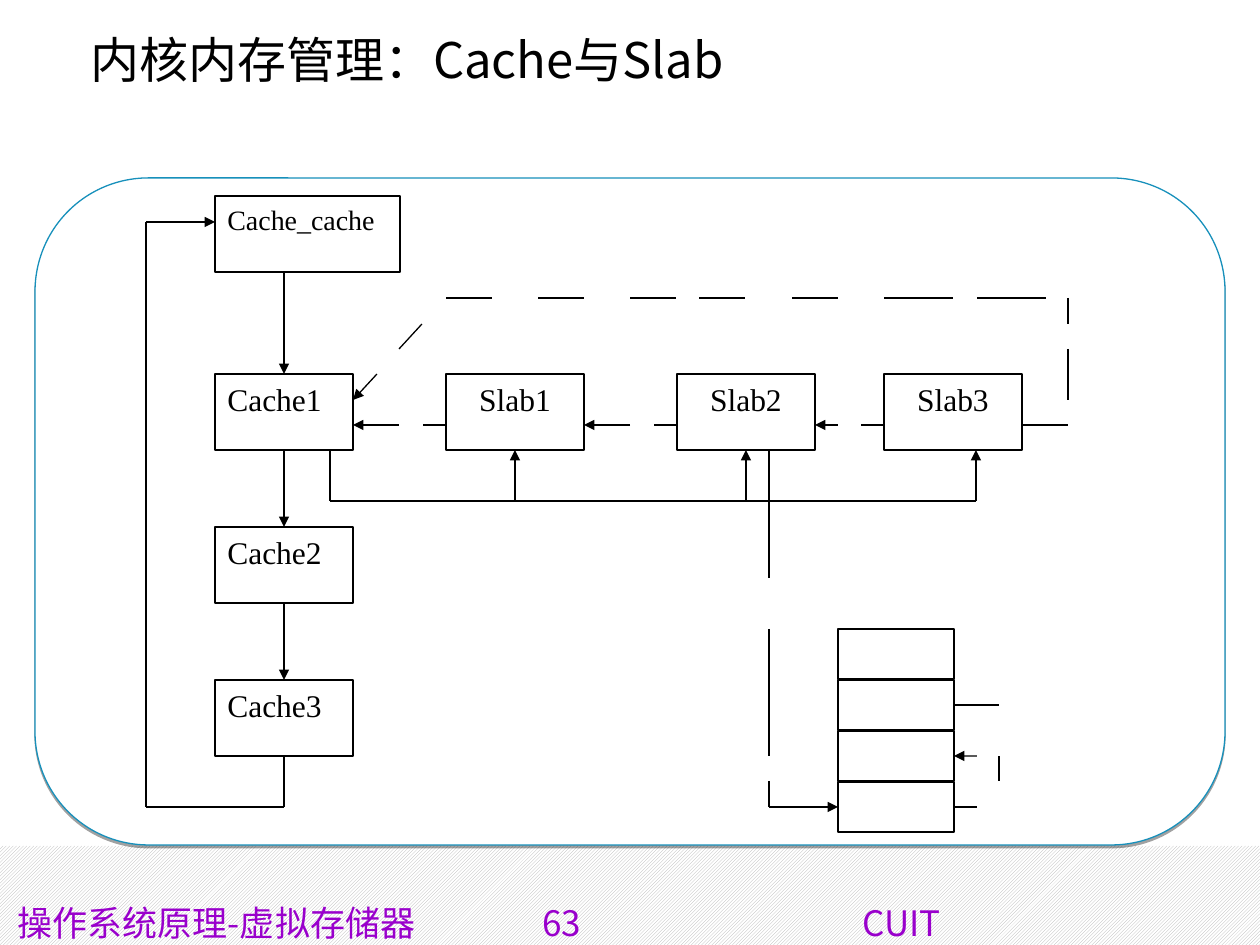
"""Builds the slide on kernel memory management with caches and slabs."""
from lxml.etree import SubElement
from pptx import Presentation
from pptx.dml.color import RGBColor
from pptx.enum.dml import MSO_PATTERN
from pptx.enum.shapes import MSO_CONNECTOR, MSO_SHAPE
from pptx.enum.text import MSO_ANCHOR, MSO_AUTO_SIZE, PP_ALIGN
from pptx.oxml.ns import qn
from pptx.util import Emu, Pt

PIXEL = 914400 / 126
SANS, SERIF = "Noto Sans CJK SC", "Times New Roman"


def color(value):
    return RGBColor.from_string(value)


def add_run(paragraph, text, size, font_name, value):
    run = paragraph.add_run()
    run.text = text
    run.font.size = Pt(size)
    run.font.name = font_name
    run.font.color.rgb = color(value)
    SubElement(run.font._element, qn("a:ea")).set("typeface", font_name)


presentation = Presentation()
presentation.slide_width = Emu(round(1260 * PIXEL))
presentation.slide_height = Emu(round(945 * PIXEL))
slide = presentation.slides.add_slide(presentation.slide_layouts[5])
shapes = slide.shapes

band = shapes.add_shape(MSO_SHAPE.RECTANGLE, *[Emu(round(n * PIXEL)) for n in (0, 846, 1260, 99)])
band.shadow.inherit = False
band.fill.patterned()
band.fill.pattern = MSO_PATTERN.DARK_UPWARD_DIAGONAL
band.fill.fore_color.rgb = color("B2B2B2")
band.fill.back_color.rgb = color("FFFFFF")
band.line.fill.background()

panel = shapes.add_shape(
    MSO_SHAPE.ROUNDED_RECTANGLE, *[Emu(round(n * PIXEL)) for n in (35, 178, 1190, 667)]
)
panel.adjustments[0] = 0.17
panel.fill.solid()
panel.fill.fore_color.rgb = color("FFFFFF")
panel.line.color.rgb = color("1790BB")
panel.line.width = Pt(0.75)
panel.shadow.inherit = False
effects = panel._element.spPr.find(qn("a:effectLst"))
shadow = SubElement(
    effects, qn("a:outerShdw"), dist=str(Pt(1.6)), dir="5400000", algn="ctr", rotWithShape="0"
)
shadow_color = SubElement(shadow, qn("a:srgbClr"), val="000000")
SubElement(shadow_color, qn("a:alpha"), val="37000")

footer = shapes.add_textbox(*[Emu(round(n * PIXEL)) for n in (5, 895, 1255, 50)])
footer.text_frame.word_wrap = True
footer_paragraph = footer.text_frame.paragraphs[0]
tab_list = SubElement(footer_paragraph._p.get_or_add_pPr(), qn("a:tabLst"))
for position in (525, 845):
    SubElement(tab_list, qn("a:tab"), pos=str(round(position * PIXEL)), algn="l")
for text in ("操作系统原理-虚拟存储器", "\t63", "\tCUIT"):
    add_run(footer_paragraph, text, 20, SANS, "9900CC")

title = shapes.title
title.left, title.top, title.width, title.height = [
    Emu(round(n * PIXEL)) for n in (78, 35, 1160, 80)
]
title.text_frame.vertical_anchor = MSO_ANCHOR.TOP
title.text_frame.auto_size = MSO_AUTO_SIZE.NONE
title_paragraph = title.text_frame.paragraphs[0]
title_paragraph.alignment = PP_ALIGN.LEFT
title_paragraph.line_spacing = 0.8
add_run(title_paragraph, "内核内存管理：Cache与Slab", 28, SANS, "000000")

boxes = [("Cache_cache", 215, 196, 185, 76, 16, PP_ALIGN.JUSTIFY)]
for index in range(3):
    boxes.append((f"Cache{index + 1}", 215, 374 + 153 * index, 138, 76, 18, PP_ALIGN.JUSTIFY))
for index, left in enumerate((446, 677, 884)):
    boxes.append((f"Slab{index + 1}", left, 374, 138, 76, 18, PP_ALIGN.CENTER))
for index in range(4):
    boxes.append(("", 838, 629 + 51 * index, 116, 50, 18, PP_ALIGN.CENTER))

side_middles = {}
for text, left, top, width, height, size, alignment in boxes:
    box = shapes.add_shape(
        MSO_SHAPE.RECTANGLE, *[Emu(round(n * PIXEL)) for n in (left, top, width, height)]
    )
    box.shadow.inherit = False
    box.fill.solid()
    box.fill.fore_color.rgb = color("FFFFFF")
    box.line.color.rgb = color("000000")
    box.line.width = Pt(0.75)
    center, middle = left + width // 2, top + height // 2
    side_middles[center, top] = (box, 0)
    side_middles[left, middle] = (box, 1)
    side_middles[center, top + height] = (box, 2)
    side_middles[left + width, middle] = (box, 3)
    if text:
        box.text_frame.vertical_anchor = MSO_ANCHOR.TOP
        paragraph = box.text_frame.paragraphs[0]
        paragraph.alignment = alignment
        add_run(paragraph, text, size, SERIF, "000000")

arrows = [
    (284, 272, 284, 374), (284, 450, 284, 527), (284, 603, 284, 680),
    (146, 222, 215, 222),
    (399, 425, 353, 425), (630, 425, 584, 425), (838, 425, 815, 425),
    (377, 374, 353, 400),
    (769, 807, 838, 807), (977, 756, 954, 756),
]
arrows += [(x, 501, x, 450) for x in (515, 746, 976)]
plain_lines = [
    (146, 222, 146, 807), (146, 807, 284, 807), (284, 756, 284, 807),
    (330, 450, 330, 501), (330, 501, 976, 501),
    (1022, 425, 1068, 425), (1068, 349, 1068, 400), (1068, 298, 1068, 324),
    (422, 324, 399, 349),
    (769, 450, 769, 578), (769, 629, 769, 756), (769, 781, 769, 807),
    (954, 807, 977, 807), (999, 781, 999, 756), (954, 705, 999, 705),
]
plain_lines += [(x, 425, x - 23, 425) for x in (446, 677, 884)]
plain_lines += [(x, 298, x - 46, 298) for x in (492, 584, 676, 745, 838)]
plain_lines += [(x, 298, x - 69, 298) for x in (953, 1046)]

for points, has_arrow in [(p, True) for p in arrows] + [(p, False) for p in plain_lines]:
    connector = shapes.add_connector(
        MSO_CONNECTOR.STRAIGHT, *[Emu(round(n * PIXEL)) for n in points]
    )
    if points[:2] in side_middles:
        connector.begin_connect(*side_middles[points[:2]])
    if points[2:] in side_middles:
        connector.end_connect(*side_middles[points[2:]])
    connector.line.color.rgb = color("000000")
    connector.line.width = Pt(0.75)
    if has_arrow:
        SubElement(connector.line._get_or_add_ln(), qn("a:tailEnd"), type="triangle")
    SubElement(connector._element.spPr, qn("a:effectLst"))

presentation.save("out.pptx")
